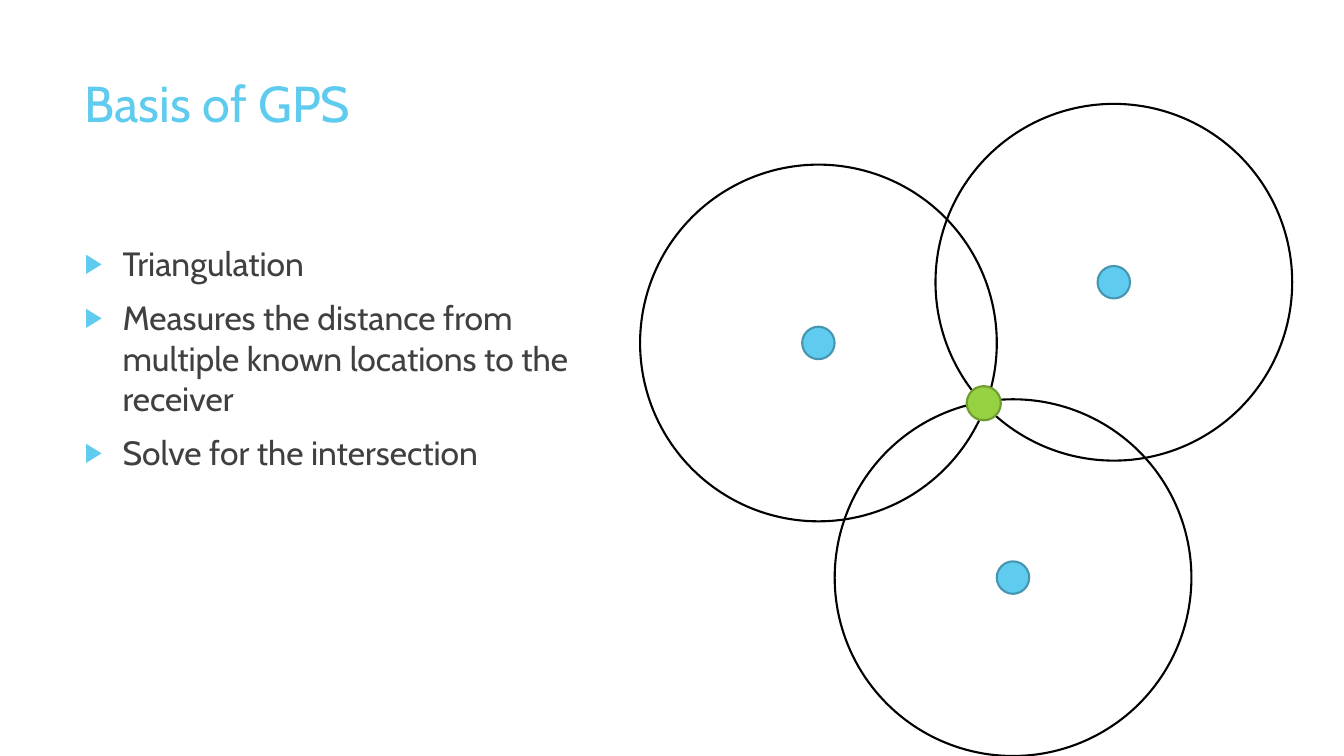
"""Build the slide that explains the basis of GPS with three range circles."""
from lxml import etree
from pptx import Presentation
from pptx import util as u
from pptx.dml import color
from pptx.enum import shapes, text
from pptx.oxml import ns

SKY, SKY_EDGE = "5FCBEF", "4696B1"
GREEN, GREEN_EDGE = "96D141", "6F9B30"
BLACK, GREY = "000000", "404040"
RANGE_RADIUS, SATELLITE_RADIUS, RECEIVER_RADIUS = 127.4, 11.6, 12.2
SATELLITES = [(584.6, 245), (795.6, 201.6), (723.6, 412.6)]
RECEIVER = (702.7, 288)
POINTS = [
    "Triangulation",
    "Measures the distance from multiple known locations to the receiver",
    "Solve for the intersection",
]


def rgb(value):
    return color.RGBColor.from_string(value)


def add_circle(center, radius, fill, edge):
    x, y = center
    circle = slide.shapes.add_shape(
        shapes.MSO_SHAPE.OVAL,
        u.Pt(x - radius), u.Pt(y - radius), u.Pt(2 * radius), u.Pt(2 * radius))
    circle.shadow.inherit = False
    if fill:
        circle.fill.solid()
        circle.fill.fore_color.rgb = rgb(fill)
    else:
        circle.fill.background()
    circle.line.color.rgb = rgb(edge)
    circle.line.width = u.Pt(1.5)


presentation = Presentation()
presentation.slide_width = u.Pt(960)
presentation.slide_height = u.Pt(540)
slide = presentation.slides.add_slide(presentation.slide_layouts[1])

title = slide.shapes.title
body = slide.placeholders[1]
blocks = [
    (title, (53.3, 48.2, 676.8, 103.7), ["Basis of GPS"], 36, SKY),
    (body, (53.3, 169.9, 375.8, 305.3), POINTS, 24, GREY),
]
for shape, box, lines, size, ink in blocks:
    shape.left, shape.top, shape.width, shape.height = [u.Pt(length) for length in box]
    frame = shape.text_frame
    frame.word_wrap = True
    frame.auto_size = text.MSO_AUTO_SIZE.NONE
    frame.vertical_anchor = text.MSO_ANCHOR.TOP
    for index, line in enumerate(lines):
        paragraph = frame.add_paragraph() if index else frame.paragraphs[0]
        paragraph.alignment = text.PP_ALIGN.LEFT
        run = paragraph.add_run()
        run.text = line
        run.font.name = "Cabin"
        run.font.size = u.Pt(size)
        run.font.color.rgb = rgb(ink)

for paragraph in body.text_frame.paragraphs:
    paragraph.space_before = u.Pt(10)
    properties = paragraph._p.get_or_add_pPr()
    properties.set("marL", str(u.Pt(27)))
    properties.set("indent", str(u.Pt(-27)))
    bullet_color = etree.SubElement(properties, ns.qn("a:buClr"))
    etree.SubElement(bullet_color, ns.qn("a:srgbClr"), val=SKY)
    etree.SubElement(properties, ns.qn("a:buSzPct"), val="80000")
    etree.SubElement(properties, ns.qn("a:buChar"), char="▶")

for satellite in SATELLITES:
    add_circle(satellite, SATELLITE_RADIUS, SKY, SKY_EDGE)
    add_circle(satellite, RANGE_RADIUS, None, BLACK)
add_circle(RECEIVER, RECEIVER_RADIUS, GREEN, GREEN_EDGE)

presentation.save("out.pptx")
